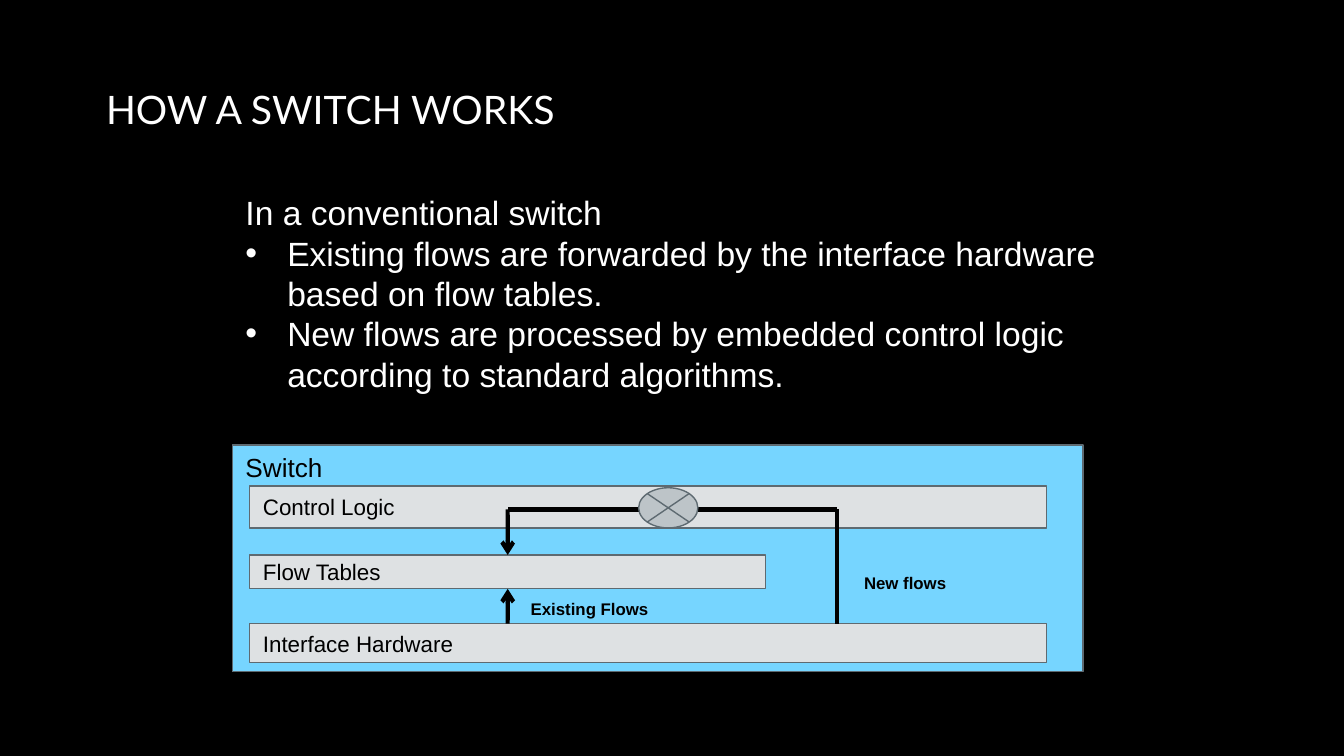
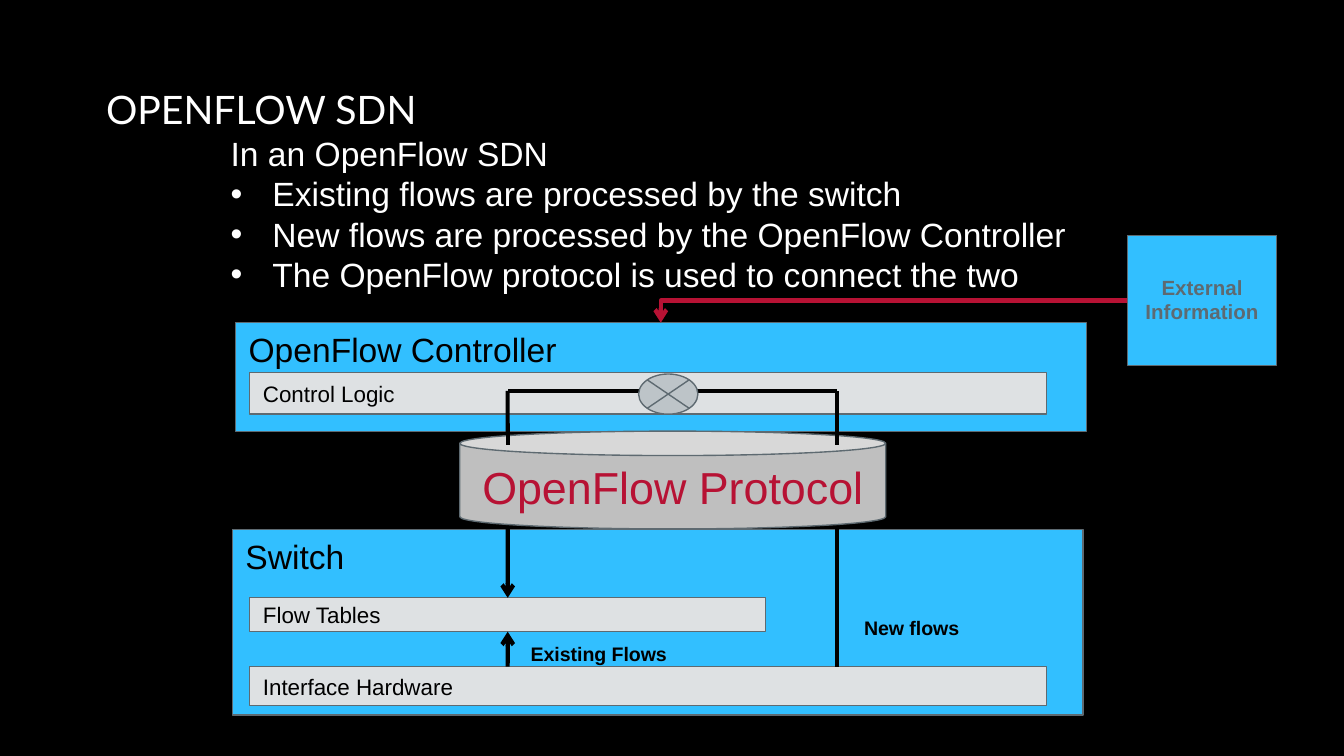
"""Build two slides comparing a conventional switch with an OpenFlow SDN."""
from lxml import etree
from pptx import Presentation
from pptx.dml.color import RGBColor
from pptx.enum.shapes import MSO_CONNECTOR, MSO_SHAPE
from pptx.enum.text import MSO_ANCHOR, MSO_AUTO_SIZE, PP_ALIGN
from pptx.oxml.ns import qn
from pptx.util import Cm, Pt

RECTANGLE, CAN = MSO_SHAPE.RECTANGLE, MSO_SHAPE.CAN
JUNCTION = MSO_SHAPE.FLOWCHART_SUMMING_JUNCTION
STRAIGHT, ELBOW = MSO_CONNECTOR.STRAIGHT, MSO_CONNECTOR.ELBOW
TOP, MIDDLE = MSO_ANCHOR.TOP, MSO_ANCHOR.MIDDLE
LEFT, CENTER = PP_ALIGN.LEFT, PP_ALIGN.CENTER
FIT_SHAPE = MSO_AUTO_SIZE.SHAPE_TO_FIT_TEXT

COLORS = {
    "black": "000000", "white": "FFFFFF", "outline": "5E6A71",
    "layer": "DEE1E3", "junction": "BDC4C8", "can": "BFBFBF",
    "light_blue": "76D5FF", "blue": "32BFFF", "red": "B71234",
}
PANEL_LEFT, PANEL_WIDTH = 4.39, 16.08
LAYER_LEFT, LAYER_WIDTH, TABLES_WIDTH = 4.72, 15.06, 9.75
TABLES_HEIGHT, HARDWARE_OFFSET = 0.64, 1.3
EXISTING_X, NEW_X = LAYER_LEFT + TABLES_WIDTH / 2, 15.82
INDENT = Cm(0.79)


def color(name):
    return RGBColor.from_string(COLORS[name])


def apply_format(target, values):
    for name, value in values.items():
        setattr(target, name, value)


def add_bullet(para):
    properties = para._p.get_or_add_pPr()
    properties.set("marL", str(INDENT))
    properties.set("indent", str(-INDENT))
    etree.SubElement(properties, qn("a:buFont")).set("typeface", "Arial")
    etree.SubElement(properties, qn("a:buChar")).set("char", "•")


def write(frame, lines, size, ink="black", bold=False, font="Arial",
          align=LEFT, anchor=TOP, spacing=1.0):
    """Fill a frame; lines after the first become bullets."""
    frame.vertical_anchor = anchor
    for index, line in enumerate(lines):
        para = frame.add_paragraph() if index else frame.paragraphs[0]
        apply_format(para, {"alignment": align, "line_spacing": spacing})
        if index:
            add_bullet(para)
        span = para.add_run()
        span.text = line
        apply_format(span.font, {"name": font, "size": Pt(size), "bold": bold})
        span.font.color.rgb = color(ink)


def add_page(deck, title):
    page = deck.slides.add_slide(deck.slide_layouts[5])
    box = page.shapes.title
    apply_format(box, {"left": Cm(1.75), "top": Cm(1.32),
                       "width": Cm(17.04), "height": Cm(1.57)})
    write(box.text_frame, [title], 21, "white", font="Lato",
          anchor=MIDDLE, spacing=0.95)
    return page


def add_box(page, kind, left, top, width, height, fill, text="", size=12, **style):
    box = page.shapes.add_shape(kind, Cm(left), Cm(top), Cm(width), Cm(height))
    box.shadow.inherit = False
    box.fill.solid()
    box.fill.fore_color.rgb = color(fill)
    box.line.color.rgb = color("outline")
    box.line.width = Pt(0.75)
    if text:
        write(box.text_frame, [text], size, **style)
    return box


def add_layer(page, text, top, height, width=LAYER_WIDTH):
    return add_box(page, RECTANGLE, LAYER_LEFT, top, width, height, "layer",
                   text, anchor=MIDDLE)


def add_text(page, lines, left, top, width, height, size, wrap=True, **style):
    box = page.shapes.add_textbox(Cm(left), Cm(top), Cm(width), Cm(height))
    apply_format(box.text_frame, {"word_wrap": wrap, "auto_size": FIT_SHAPE})
    write(box.text_frame, lines, size, **style)


def add_line(page, start, end, ink="black", arrow=False, kind=STRAIGHT):
    line = page.shapes.add_connector(kind, *(Cm(value) for value in start + end))
    line.line.color.rgb = color(ink)
    line.line.width = Pt(2.25)
    properties = line._element.spPr
    if arrow:
        outline = properties.find(qn("a:ln"))
        etree.SubElement(outline, qn("a:tailEnd")).set("type", "arrow")
    etree.SubElement(properties, qn("a:effectLst"))
    return line


def add_switch(page, top, height, tables_top, fill, title_size, label_size):
    """Draw the switch panel with its hardware, tables and flow labels."""
    add_box(page, RECTANGLE, PANEL_LEFT, top, PANEL_WIDTH, height, fill,
            "Switch", title_size)
    hardware_top = tables_top + HARDWARE_OFFSET
    add_layer(page, "Interface Hardware", hardware_top, 0.74)
    tables = add_layer(page, "Flow Tables", tables_top, TABLES_HEIGHT, TABLES_WIDTH)
    scale = label_size / 9
    for text, left, offset, width in (("New flows", 16.08, 0.22, 2.08),
                                      ("Existing Flows", 9.78, 0.71, 2.77)):
        add_text(page, [text], left, tables_top + offset, width * scale, 0.64,
                 label_size, wrap=False, bold=True)
    existing = add_line(page, (EXISTING_X, hardware_top),
                        (EXISTING_X, tables_top + TABLES_HEIGHT), arrow=True)
    existing.end_connect(tables, 2)
    return tables


def add_control(page, top, bend, tables, tables_top):
    """Draw the control logic and the path that new flows take through it."""
    add_layer(page, "Control Logic", top, 0.79)
    add_line(page, (NEW_X, tables_top + HARDWARE_OFFSET), (NEW_X, bend))
    add_line(page, (NEW_X, bend), (EXISTING_X, bend))
    down = add_line(page, (EXISTING_X, bend), (EXISTING_X, tables_top), arrow=True)
    down.end_connect(tables, 0)
    add_box(page, JUNCTION, 12.07, top + 0.03, 1.12, 0.76, "junction")


def build_conventional(deck):
    page = add_page(deck, "HOW A SWITCH WORKS")
    tables_top = 10.49
    tables = add_switch(page, 8.41, 4.29, tables_top, "light_blue", 14, 9)
    add_control(page, 9.19, 9.63, tables, tables_top)
    add_text(page, [
        "In a conventional switch",
        "Existing flows are forwarded by the interface hardware based on flow tables.",
        "New flows are processed by embedded control logic according to "
        "standard algorithms.",
    ], 4.39, 3.51, 17.2, 4.11, 18, ink="white")


def build_openflow(deck):
    page = add_page(deck, "OPENFLOW SDN")
    tables_top = 11.3
    controller = add_box(page, RECTANGLE, 4.45, 6.1, PANEL_WIDTH, 2.06, "blue",
                         "OpenFlow Controller", 18)
    tables = add_switch(page, 10.01, 3.51, tables_top, "blue", 18, 10.5)
    add_control(page, 7.04, 7.39, tables, tables_top)
    add_text(page, [
        "In an OpenFlow SDN",
        "Existing flows are processed by the switch",
        "New flows are processed by the OpenFlow Controller",
        "The OpenFlow protocol is used to connect the two",
    ], 4.11, 2.39, 17.2, 3.33, 18, ink="white")
    add_box(page, CAN, 8.69, 8.15, 8.05, 1.85, "can", "OpenFlow Protocol", 24,
            ink="red", align=CENTER, anchor=MIDDLE)
    for x in (NEW_X, EXISTING_X):
        add_line(page, (x, 8.15), (x, 8.41))
    external = add_box(page, RECTANGLE, 21.31, 4.45, 2.82, 2.46, "blue",
                       "External Information", 11, ink="outline", bold=True,
                       align=CENTER, anchor=MIDDLE, spacing=0.95)
    feed = add_line(page, (21.31, 5.68), (12.49, 6.1), "red", True, ELBOW)
    feed._element.spPr.find(qn("a:prstGeom")).set("prst", "bentConnector2")
    feed.begin_connect(external, 1)
    feed.end_connect(controller, 0)


def main():
    deck = Presentation()
    apply_format(deck, {"slide_width": Cm(25.4), "slide_height": Cm(14.29)})
    background = deck.slide_master.background.fill
    background.solid()
    background.fore_color.rgb = color("black")
    build_conventional(deck)
    build_openflow(deck)
    deck.save("out.pptx")


if __name__ == "__main__":
    main()
